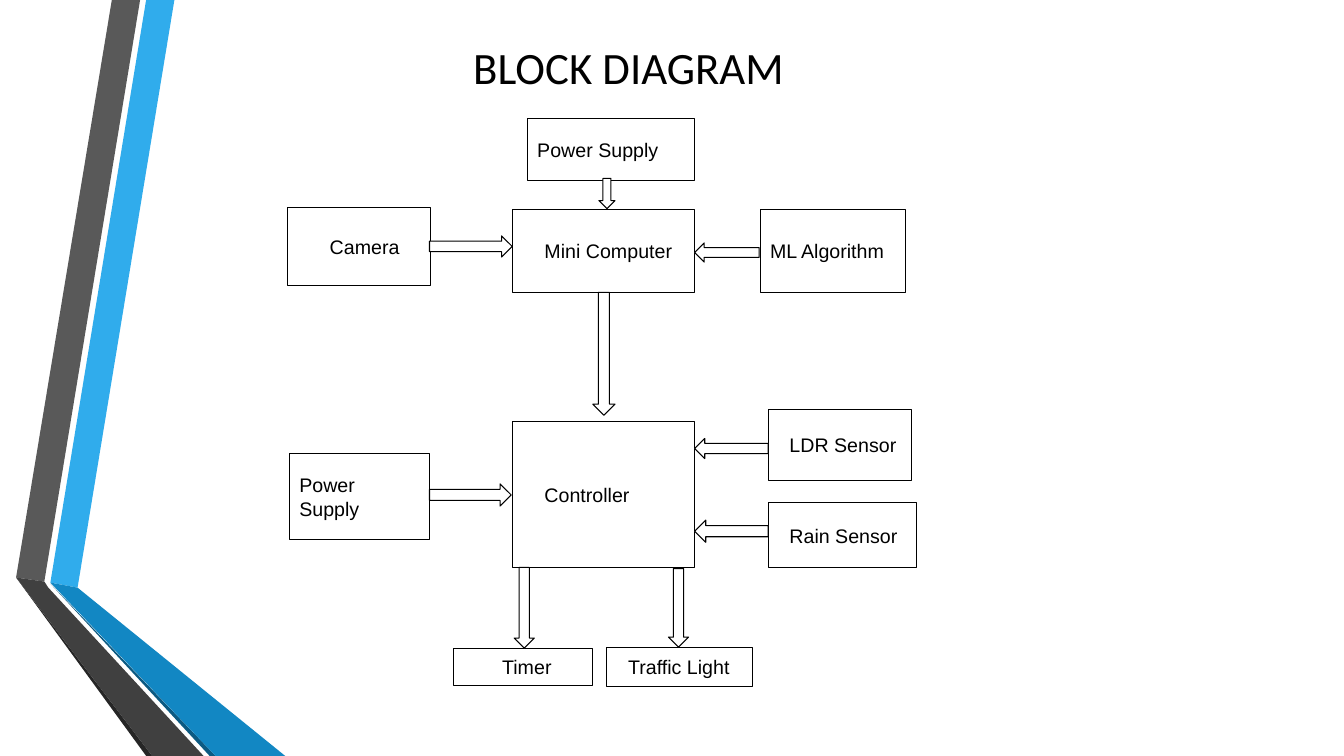
from pptx import Presentation
from pptx.dml.color import RGBColor
from pptx.enum.shapes import MSO_SHAPE
from pptx.enum.text import MSO_ANCHOR, PP_ALIGN
from pptx.util import Pt

PX = 9144  # EMU in one px, 100 px to the inch
INSET = 10

# Side ribbons: colour and outline
RIBBONS = [
    ("30ACEC", [(50, 578), (77, 583), (173, 0), (145, 0)]),
    ("595959", [(139, 0), (111, 0), (16, 573), (44, 577)]),
    ("262626", [(16, 573), (145, 750), (151, 750)]),
    ("0C5A82", [(50, 579), (208, 750), (214, 750)]),
    ("1287C3", [(50, 578), (214, 750), (283, 750), (77, 583)]),
    ("404040", [(202, 750), (48, 583), (44, 577), (16, 573), (151, 750)]),
]

# Blocks: label, text indent, left, top, width, height
BLOCKS = [
    ("Power Supply", 0, 523, 118, 166, 61),
    ("Camera", 32, 285, 206, 142, 77),
    ("Mini Computer", 22, 508, 208, 181, 82),
    ("ML Algorithm", 0, 754, 208, 144, 82),
    ("Power Supply", 0, 287, 450, 139, 85),
    ("Controller", 22, 508, 418, 181, 145),
    ("LDR Sensor", 11, 762, 406, 142, 71),
    ("Rain Sensor", 11, 762, 499, 147, 64),
    ("Timer", 38, 450, 643, 138, 37),
    ("Traffic Light", 11, 602, 642, 144, 39),
]

# Block arrows: direction, left, top, width, height
ARROWS = [
    (MSO_SHAPE.DOWN_ARROW, 594, 177, 16, 30),
    (MSO_SHAPE.RIGHT_ARROW, 426, 234, 82, 21),
    (MSO_SHAPE.LEFT_ARROW, 689, 241, 64, 19),
    (MSO_SHAPE.DOWN_ARROW, 588, 290, 22, 122),
    (MSO_SHAPE.RIGHT_ARROW, 426, 480, 81, 22),
    (MSO_SHAPE.LEFT_ARROW, 689, 435, 73, 20),
    (MSO_SHAPE.LEFT_ARROW, 689, 516, 73, 22),
    (MSO_SHAPE.DOWN_ARROW, 510, 563, 20, 80),
    (MSO_SHAPE.DOWN_ARROW, 663, 564, 20, 78),
]


def px(length):
    return length * PX


def color(hex_text):
    return RGBColor.from_string(hex_text)


def write_text(shape, text, size=14, font="Arial", align=PP_ALIGN.LEFT, indent=0):
    frame = shape.text_frame
    frame.word_wrap = True
    frame.vertical_anchor = MSO_ANCHOR.MIDDLE
    frame.margin_left = px(INSET + indent)
    frame.margin_right = frame.margin_top = frame.margin_bottom = px(INSET)
    paragraph = frame.paragraphs[0]
    paragraph.text = text
    paragraph.alignment = align
    paragraph.font.size = Pt(size)
    paragraph.font.name = font
    paragraph.font.color.rgb = color("000000")


def add_ribbon(slide, fill, points):
    builder = slide.shapes.build_freeform(*points[0], scale=PX)
    builder.add_line_segments(points[1:], close=True)
    shape = builder.convert_to_shape()
    shape.shadow.inherit = False
    shape.fill.solid()
    shape.fill.fore_color.rgb = color(fill)
    shape.line.fill.background()


def add_outlined(slide, kind, *box):
    shape = slide.shapes.add_shape(kind, *map(px, box))
    shape.shadow.inherit = False
    shape.fill.solid()
    shape.fill.fore_color.rgb = color("FFFFFF")
    shape.line.color.rgb = color("000000")
    shape.line.width = Pt(0.75)
    return shape


def add_title(slide, text):
    title = slide.shapes.title
    title.left, title.top, title.width, title.height = map(px, (82, 2, 1083, 128))
    write_text(title, text, size=32, font="Calibri", align=PP_ALIGN.CENTER)


def main():
    presentation = Presentation()
    presentation.slide_width = px(1333)
    presentation.slide_height = px(750)
    slide = presentation.slides.add_slide(presentation.slide_layouts[5])

    # Decoration and title
    for fill, points in RIBBONS:
        add_ribbon(slide, fill, points)
    add_title(slide, "BLOCK DIAGRAM")

    # Diagram
    for label, indent, *box in BLOCKS:
        block = add_outlined(slide, MSO_SHAPE.RECTANGLE, *box)
        write_text(block, label, indent=indent)
    for direction, *box in ARROWS:
        add_outlined(slide, direction, *box)

    presentation.save("out.pptx")


if __name__ == "__main__":
    main()
